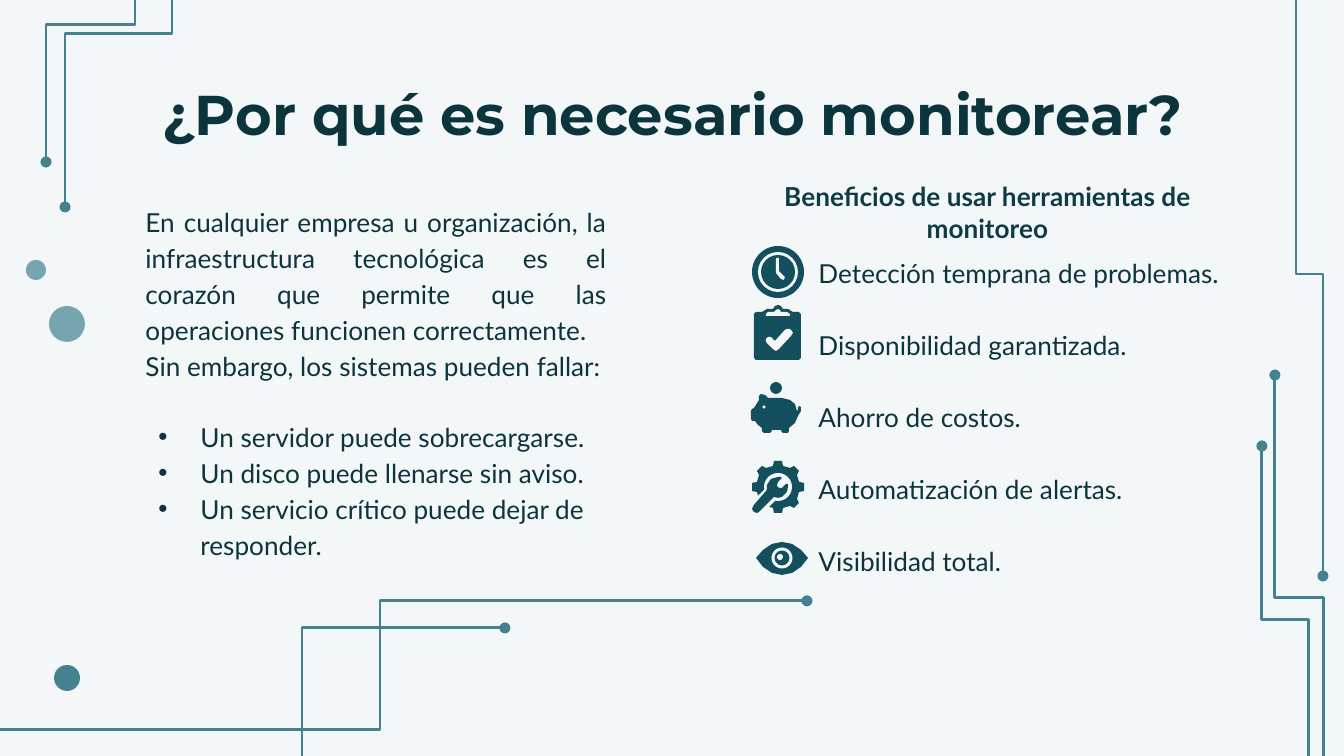
import dataclasses
import math

import pptx
import pptx.dml.color
import pptx.enum.shapes
import pptx.enum.text
import pptx.oxml.ns
import pptx.util
from lxml import etree

PX = 914400 / 134.4  # EMU in one px
qn = pptx.oxml.ns.qn
rgb = pptx.dml.color.RGBColor.from_string
ALIGN = pptx.enum.text.PP_ALIGN
ANCHOR = pptx.enum.text.MSO_ANCHOR


@dataclasses.dataclass(frozen=True)
class Theme:
    back: str = "F3F7F8"
    text: str = "0C343D"
    heading: str = "0E3B44"
    icon: str = "134F5C"
    line: str = "45818E"
    pale: str = "76A5AF"
    title_font: str = "Montserrat"
    body_font: str = "Lato"
    title_size: int = 30
    body_size: int = 14
    blank_line: float = 19.3
    line_width: float = 1.5


theme = Theme()

prs = pptx.Presentation()
prs.slide_width, prs.slide_height = round(1344 * PX), round(756 * PX)
s = prs.slides.add_slide(prs.slide_layouts.get_by_name("Comparison"))
s.background.fill.solid()
s.background.fill.fore_color.rgb = rgb(theme.back)


def disc(cx, cy, d, color):
    box = [round(v * PX) for v in (cx - d / 2, cy - d / 2, d, d)]
    sp = s.shapes.add_shape(pptx.enum.shapes.MSO_SHAPE.OVAL, *box)
    sp.shadow.inherit = False
    sp.fill.solid()
    sp.fill.fore_color.rgb = rgb(color)
    sp.line.fill.background()


def outline(points, color):
    builder = s.shapes.build_freeform(*points[0], scale=PX)
    builder.add_line_segments(points[1:], close=True)
    sp = builder.convert_to_shape()
    sp.shadow.inherit = False
    sp.fill.solid()
    sp.fill.fore_color.rgb = rgb(color)
    sp.line.fill.background()


# Circuit traces: start, end, whether they set off vertically, and where they bend
traces = [
    (1296, 0, 1323, 576, True, 274),
    (302, 756, 505, 628, False, 302),
    (1324, 756, 1275, 375, True, 598),
    (1309, 756, 1262, 446, True, 620),
    (0, 730, 807, 601, False, 380),
    (172, 0, 65, 207, True, 34),
    (135, 0, 46, 162, True, 25),
]
for x1, y1, x2, y2, vertical, bend in traces:
    ends = (x1, y1, x2, y2)
    share = (bend - x1) / (x2 - x1)
    if vertical:  # the same elbow, turned a quarter about its centre
        cx, cy, dx, dy = (x1 + x2) / 2, (y1 + y2) / 2, x2 - x1, y2 - y1
        ends = (cx - dy / 2, cy + dx / 2, cx + dy / 2, cy - dx / 2)
        share = (bend - y1) / dy
    trace = s.shapes.add_connector(
        pptx.enum.shapes.MSO_CONNECTOR.ELBOW, *[round(v * PX) for v in ends])
    trace.line.color.rgb = rgb(theme.line)
    trace.line.width = pptx.util.Pt(theme.line_width)
    etree.SubElement(trace.line._get_or_add_ln(), qn("a:tailEnd"), type="oval")
    spPr = trace._element.spPr
    etree.SubElement(spPr, qn("a:effectLst"))
    if vertical:
        spPr.find(qn("a:xfrm")).set("rot", str(90 * 60000))
    etree.SubElement(spPr.find(qn("a:prstGeom")).find(qn("a:avLst")), qn("a:gd"),
                     name="adj1", fmla=f"val {round(share * 100000)}")

disc(67, 324, 36, theme.pale)
disc(67, 678, 26, theme.line)
disc(36, 270, 20, theme.pale)

# Texts: placeholder, box, paragraphs, and their format
plain = dict(font=theme.body_font, size=theme.body_size, color=theme.text, bold=False,
             align=ALIGN.LEFT, anchor=ANCHOR.TOP, spacing=1.15, gap=0, bullet=False)
texts = [
    (0, (106, 66, 1133, 85), ["¿Por qué es necesario monitorear?"],
     dict(font=theme.title_font, size=theme.title_size, bold=True,
          align=ALIGN.CENTER, spacing=1.0)),
    (1, (132, 188, 488, 207),
     ["En cualquier empresa u organización, la infraestructura tecnológica es el "
      "corazón que permite que las operaciones funcionen correctamente.",
      "Sin embargo, los sistemas pueden fallar:"],
     dict(align=ALIGN.JUSTIFY)),
    (2, (145, 403, 488, 164),
     ["Un servidor puede sobrecargarse.",
      "Un disco puede llenarse sin aviso.",
      "Un servicio crítico puede dejar de responder."],
     dict(bullet=True)),
    (3, (761, 172, 453, 85), ["Beneficios de usar herramientas de monitoreo"],
     dict(color=theme.heading, bold=True, align=ALIGN.CENTER,
          anchor=ANCHOR.BOTTOM, spacing=1.0)),
    (4, (805, 239, 513, 333),
     ["Detección temprana de problemas.",
      "Disponibilidad garantizada.",
      "Ahorro de costos.",
      "Automatización de alertas.",
      "Visibilidad total."],
     dict(gap=theme.blank_line)),
]
placeholders = {ph.placeholder_format.idx: ph for ph in s.placeholders}
for idx, box, lines, changes in texts:
    style = plain | changes
    ph = placeholders[idx]
    ph.left, ph.top, ph.width, ph.height = [round(v * PX) for v in box]
    tf = ph.text_frame
    tf.word_wrap = True
    tf.auto_size = pptx.enum.text.MSO_AUTO_SIZE.NONE
    tf.vertical_anchor = style["anchor"]
    tf.margin_left = tf.margin_right = pptx.util.Inches(0.1)
    tf.margin_top = tf.margin_bottom = pptx.util.Inches(0.1)
    for i, line in enumerate(lines):
        p = tf.add_paragraph() if i else tf.paragraphs[0]
        pPr = p._p.get_or_add_pPr()
        indent = round(42 * PX) if style["bullet"] else 0
        pPr.set("marL", str(indent))
        pPr.set("indent", str(-indent))
        if style["bullet"]:
            etree.SubElement(pPr, qn("a:buChar"), char="•")
        else:
            etree.SubElement(pPr, qn("a:buNone"))
        p.alignment = style["align"]
        p.line_spacing = style["spacing"]
        p.space_before = pptx.util.Pt(style["gap"] if i else 0)
        p.space_after = pptx.util.Pt(0)
        r = p.add_run()
        r.text = line
        r.font.name = style["font"]
        r.font.size = pptx.util.Pt(style["size"])
        r.font.bold = style["bold"]
        r.font.color.rgb = rgb(style["color"])

# Clock
disc(778, 272, 52, theme.icon)
disc(778, 272, 40, theme.back)
disc(778, 272, 34, theme.icon)
outline([(776, 258), (779, 258), (779, 271), (785, 277), (784, 280), (781, 279),
         (776, 273)], theme.back)

# Clipboard: board, clip and check mark
outline([(756, 312), (762, 312), (767, 309), (773, 309), (775, 306), (778, 305),
         (781, 306), (783, 309), (788, 309), (793, 312), (799, 312), (801, 314),
         (801, 358), (799, 360), (756, 360), (754, 358), (754, 314)], theme.icon)
outline([(766, 316), (766, 314), (768, 312), (774, 312), (776, 310), (778, 309),
         (780, 310), (781, 312), (787, 312), (790, 314), (790, 316)], theme.back)
outline([(787, 329), (790, 329), (792, 331), (793, 333), (791, 336), (779, 349),
         (776, 351), (773, 349), (766, 342), (766, 339), (768, 337), (771, 337),
         (775, 341), (785, 330)], theme.back)

# Piggy bank: coin, body and eye
disc(776, 388, 12, theme.icon)
outline([(761, 394), (759, 396), (759, 400), (754, 408), (752, 409), (751, 411),
         (751, 419), (752, 421), (755, 421), (758, 425), (762, 428), (762, 431),
         (764, 433), (770, 433), (772, 431), (772, 430), (781, 430), (781, 431),
         (783, 433), (788, 433), (789, 431), (789, 428), (795, 423), (798, 416),
         (801, 411), (801, 407), (799, 406), (798, 408), (798, 410), (797, 411),
         (795, 404), (790, 400), (782, 398), (768, 398), (765, 395)], theme.icon)
disc(764, 407, 3, theme.back)

# Gear with eight teeth, and the wrench laid across it
teeth = [(45 * k + turn, radius) for k in range(8)
         for turn, radius in ((-13, 22), (-8, 26), (8, 26), (13, 22))]
outline([(round(778 + radius * math.cos(math.radians(angle)), 2),
          round(487 + radius * math.sin(math.radians(angle)), 2))
         for angle, radius in teeth], theme.icon)
disc(778, 487, 28, theme.back)
outline([(765, 489), (752, 502), (762, 514), (776, 500)], theme.back)
outline([(778, 477), (771, 479), (767, 485), (767, 490), (754, 505), (752, 509),
         (754, 512), (757, 513), (759, 512), (774, 497), (778, 498), (782, 497),
         (787, 492), (788, 487), (788, 484), (786, 484), (782, 488), (779, 488),
         (777, 486), (778, 482), (782, 478), (781, 477)], theme.icon)

# Eye
outline([(756, 558), (763, 550), (772, 544), (782, 542), (792, 544), (801, 550),
         (808, 558), (801, 567), (792, 573), (782, 575), (772, 573), (763, 567)],
        theme.icon)
disc(782, 558, 21, theme.back)
disc(782, 558, 15, theme.icon)
disc(780, 557, 6, theme.back)

prs.save("out.pptx")
